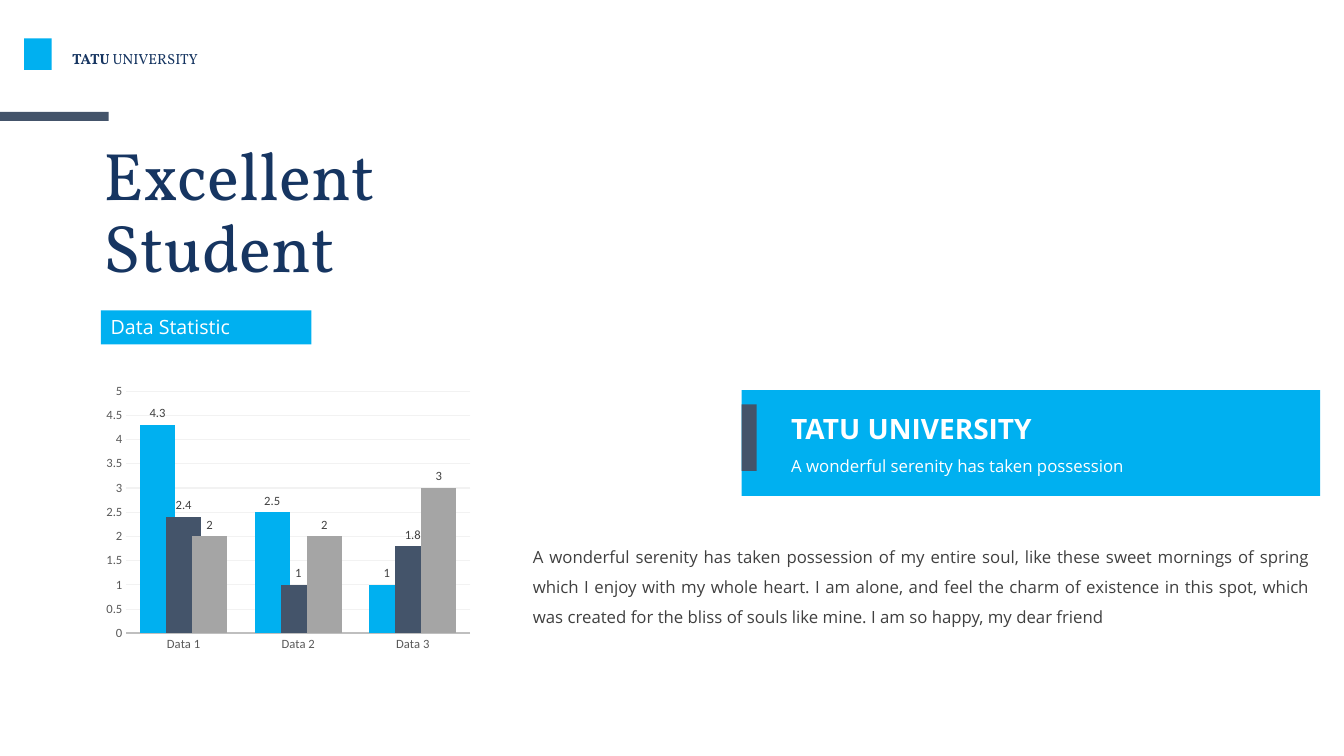
from pptx import Presentation
from pptx import util as u
from pptx.chart import data
from pptx.dml.color import RGBColor
from pptx.enum import chart as ch, shapes, text

SKY = RGBColor(0x00, 0xB0, 0xF0)
SLATE = RGBColor(0x44, 0x54, 0x6A)
GREY = RGBColor(0xA5, 0xA5, 0xA5)
NAVY = RGBColor(0x16, 0x35, 0x61)
INK = RGBColor(0x40, 0x40, 0x40)
AXIS = RGBColor(0x59, 0x59, 0x59)
RULE = RGBColor(0xBF, 0xBF, 0xBF)
GRID = RGBColor(0xF2, 0xF2, 0xF2)
WHITE = RGBColor(0xFF, 0xFF, 0xFF)

deck = Presentation()
deck.slide_width, deck.slide_height = u.Cm(33.87), u.Cm(19.05)
slide = deck.slides.add_slide(deck.slide_layouts[6])


def block(place, color):
    """Add a plain filled rectangle; place is left, top, width, height in cm."""
    shape = slide.shapes.add_shape(shapes.MSO_SHAPE.RECTANGLE, *map(u.Cm, place))
    shape.shadow.inherit = False
    shape.fill.solid()
    shape.fill.fore_color.rgb = color
    shape.line.fill.background()
    return shape


def write(shape, runs, face, size, color, **form):
    """Fill a shape with one paragraph of (words, bold) runs; form sets its format."""
    frame = shape.text_frame
    frame.word_wrap = True
    frame.vertical_anchor = text.MSO_ANCHOR.TOP
    para = frame.paragraphs[0]
    para.alignment = text.PP_ALIGN.LEFT
    for key, value in form.items():
        setattr(para, key, value)
    for words, bold in runs:
        run = para.add_run()
        run.text = words
        look = {"name": face, "size": u.Pt(size), "bold": bold}
        for key, value in look.items():
            setattr(run.font, key, value)
        run.font.color.rgb = color


# Bars, icon and banner
for place, color in [
    ((0, 2.82, 2.74, 0.23), SLATE),
    ((0.61, 0.97, 0.69, 0.79), SKY),
    ((18.69, 9.83, 14.58, 2.67), SKY),
    ((18.69, 10.19, 0.38, 1.68), SLATE),
]:
    block(place, color)

# Texts
STORY = (
    "A wonderful serenity has taken possession of my entire soul, like these sweet "
    "mornings of spring which I enjoy with my whole heart. I am alone, and feel the "
    "charm of existence in this spot, which was created for the bliss of souls like "
    "mine. I am so happy, my dear friend"
)
title = slide.shapes.add_textbox(*map(u.Cm, (2.36, 3.43, 8.76, 3.96)))
write(title, [("Excellent Student", False)], "Vollkorn", 48, NAVY, line_spacing=0.9)
title.text_frame.vertical_anchor = text.MSO_ANCHOR.MIDDLE

for place, runs, face, size, color, form in [
    ((1.57, 1.12, 3.84, 0.71), [("TATU ", True), ("UNIVERSITY", False)],
     "Vollkorn", 10.5, NAVY, {}),
    ((19.69, 10.24, 11.91, 1.12), [("TATU UNIVERSITY", True)],
     "Open Sans", 20, WHITE, {}),
    ((19.69, 11.1, 10.77, 0.94), [("A wonderful serenity has taken possession", False)],
     "Open Sans", 12, WHITE, {"line_spacing": 1.5}),
    ((13.18, 13.39, 20.09, 2.49), [(STORY, False)], "Open Sans", 12, INK,
     {"line_spacing": 1.5, "alignment": text.PP_ALIGN.JUSTIFY}),
]:
    box = slide.shapes.add_textbox(*map(u.Cm, place))
    write(box, runs, face, size, color, **form)

tag = block((2.54, 7.82, 5.31, 0.86), SKY)
write(tag, [("Data Statistic", False)], "Open Sans", 14, WHITE)

# Chart
stats = data.CategoryChartData()
stats.categories = ["Data 1", "Data 2", "Data 3"]
for name, values in [
    ("Series 1", (4.3, 2.5, 1)),
    ("Series 2", (2.4, 1, 1.8)),
    ("Series 3", (2, 2, 3)),
]:
    stats.add_series(name, values)
chart = slide.shapes.add_chart(
    ch.XL_CHART_TYPE.COLUMN_CLUSTERED,
    *map(u.Cm, (2.49, 9.53, 9.55, 7.04)), stats).chart
chart.has_title = chart.has_legend = False
chart.font.name, chart.font.size = "Calibri", u.Pt(9)

plot = chart.plots[0]
for key, value in {"gap_width": 80, "overlap": 25, "vary_by_categories": False}.items():
    setattr(plot, key, value)
for series, color in zip(plot.series, (SKY, SLATE, GREY)):
    series.format.fill.solid()
    series.format.fill.fore_color.rgb = color
    labels = series.data_labels
    labels.show_value = True
    labels.position = ch.XL_LABEL_POSITION.OUTSIDE_END
    labels.font.name, labels.font.size = "Calibri", u.Pt(9)
    labels.font.color.rgb = INK

cats, vals = chart.category_axis, chart.value_axis
for axis in (cats, vals):
    axis.major_tick_mark = axis.minor_tick_mark = ch.XL_TICK_MARK.NONE
    axis.tick_labels.font.name, axis.tick_labels.font.size = "Calibri", u.Pt(9)
    axis.tick_labels.font.color.rgb = AXIS
vals.minimum_scale, vals.maximum_scale, vals.major_unit = 0, 5, 0.5
vals.format.line.fill.background()
for line, color, width in [
    (cats.format.line, RULE, 1.25),
    (vals.major_gridlines.format.line, GRID, 0.75),
]:
    line.color.rgb = color
    line.width = u.Pt(width)

deck.save("out.pptx")
